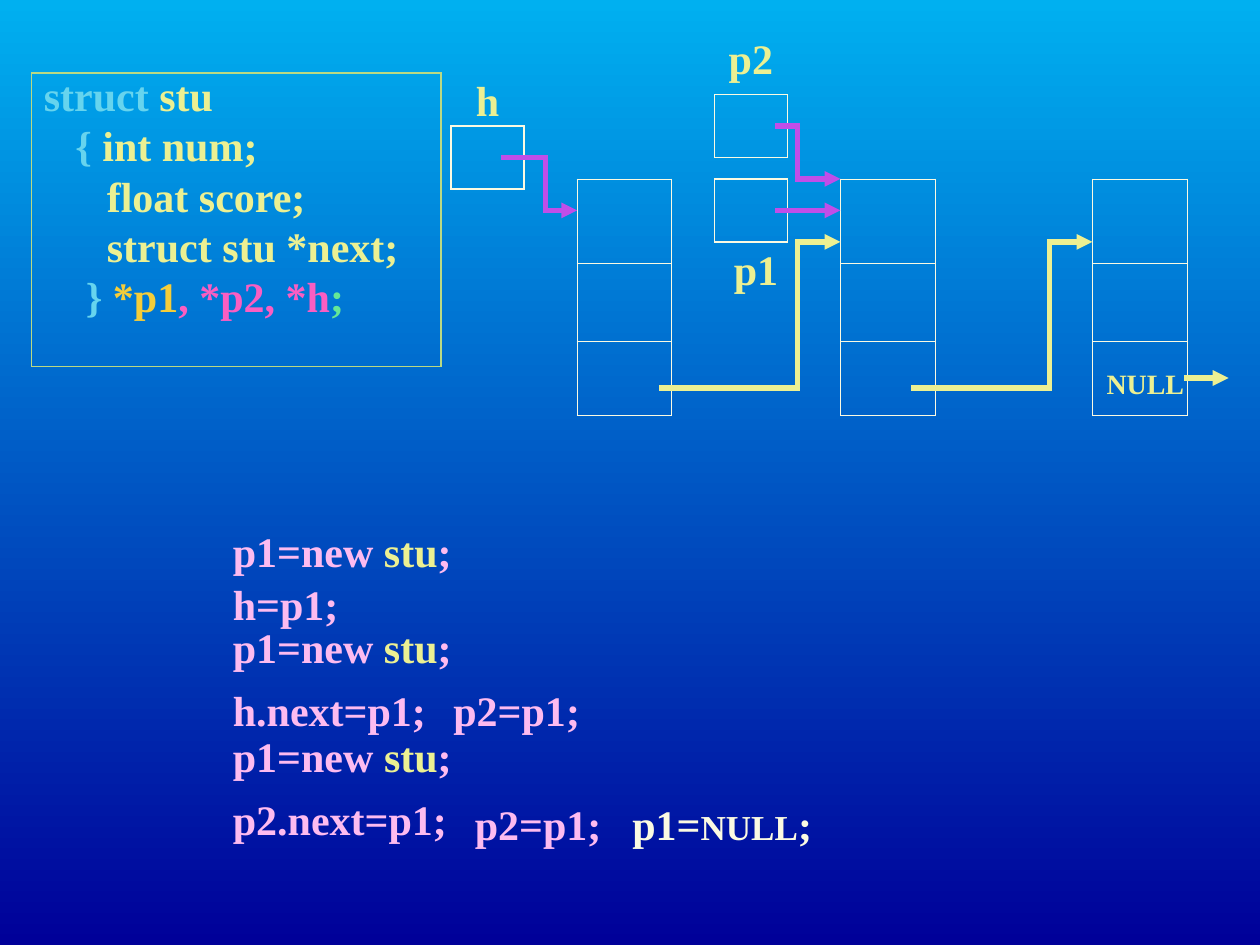
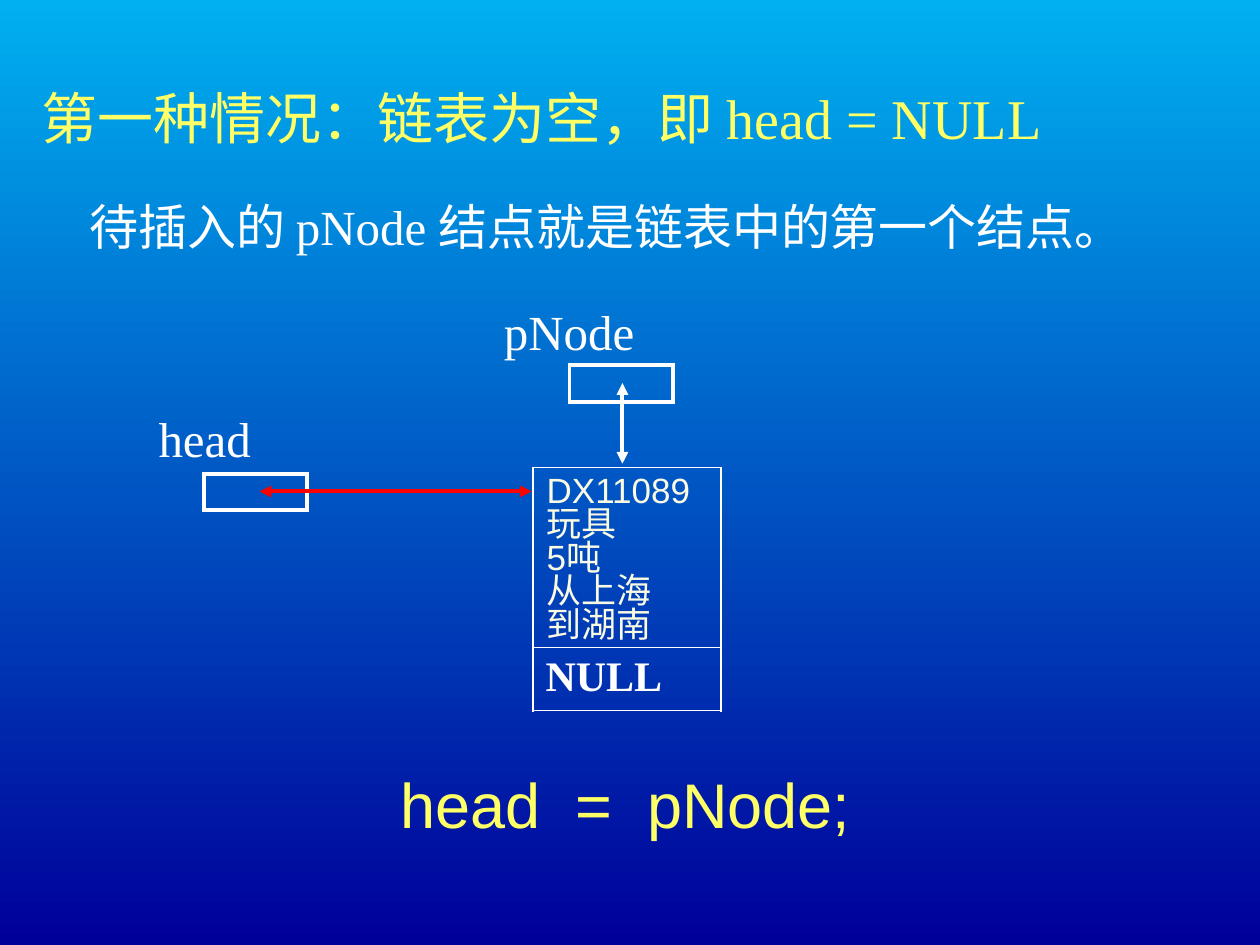
from dataclasses import dataclass

from lxml import etree
from pptx import Presentation
from pptx.dml.color import RGBColor
from pptx.enum.shapes import MSO_CONNECTOR, MSO_SHAPE
from pptx.enum.text import MSO_ANCHOR, PP_ALIGN
from pptx.oxml.ns import qn
from pptx.util import Inches, Pt

RECTANGLE = MSO_SHAPE.RECTANGLE
STRAIGHT = MSO_CONNECTOR.STRAIGHT
TOP, MIDDLE = MSO_ANCHOR.TOP, MSO_ANCHOR.MIDDLE
LEFT, CENTER = PP_ALIGN.LEFT, PP_ALIGN.CENTER

SKY = RGBColor(0x00, 0xB0, 0xF0)
NAVY = RGBColor(0x00, 0x00, 0x99)
PINK = RGBColor(0xFD, 0xBB, 0xF0)
PALE_YELLOW = RGBColor(0xEC, 0xF0, 0x92)
CREAM = RGBColor(0xFB, 0xFA, 0xE2)
CYAN = RGBColor(0x66, 0xD4, 0xEE)
GOLD = RGBColor(0xF5, 0xCD, 0x39)
MAGENTA = RGBColor(0xFA, 0x5E, 0xC2)
MINT = RGBColor(0x64, 0xE8, 0x96)
OLIVE = RGBColor(0xBA, 0xD9, 0x83)
PURPLE = RGBColor(0xC0, 0x4E, 0xE8)
YELLOW = RGBColor(0xFF, 0xFF, 0x66)
WHITE = RGBColor(0xFF, 0xFF, 0xFF)
RED = RGBColor(0xFF, 0x00, 0x00)

SERIF, SANS = "Times New Roman", "Arial"


@dataclass
class Run:
    text: str
    color: RGBColor | None = None
    size: float | None = None


@dataclass
class Style:
    size: float
    color: RGBColor
    name: str = SERIF
    bold: bool = False
    align: PP_ALIGN = LEFT
    spacing: object = None


@dataclass
class Box:
    left: float
    top: float
    width: float
    height: float

    def lengths(self) -> list:
        return [Inches(n) for n in (self.left, self.top, self.width, self.height)]


@dataclass
class Route:
    """A line through corner points; the last segment ends in an arrowhead."""
    points: list[tuple[float, float]]
    color: RGBColor
    width: float = 3
    both_ends: bool = False


CODE = Style(24, PINK, bold=True)
STRUCT = Style(24, PALE_YELLOW, bold=True, spacing=Pt(28.8))
POINTER = Style(24, PALE_YELLOW, bold=True, align=CENTER)
NULL_MARK = Style(16, PALE_YELLOW, bold=True, align=CENTER)
NULL_CELL = Style(24, WHITE, bold=True)
NODE_LABEL = Style(28, WHITE)
CARGO = Style(20, CREAM, SANS, spacing=0.8)
STATEMENT = Style(36, YELLOW, SANS)
HEADING = Style(32, YELLOW, spacing=1.2)
BODY = Style(28, WHITE, spacing=1.2)


def add_slide(presentation):
    slide = presentation.slides.add_slide(presentation.slide_layouts[6])
    fill = slide.background.fill
    fill.gradient()
    fill.gradient_angle = 270
    for stop, color in zip(fill.gradient_stops, (SKY, NAVY)):
        stop.color.rgb = color
    return slide


def write_paragraph(paragraph, runs: list[Run], style: Style) -> None:
    paragraph.alignment = style.align
    if style.spacing is not None:
        paragraph.line_spacing = style.spacing
    font = paragraph.font
    font.name, font.size, font.bold = style.name, Pt(style.size), style.bold
    font.color.rgb = style.color
    for item in runs:
        run = paragraph.add_run()
        run.text = item.text
        if item.color is not None:
            run.font.color.rgb = item.color
        if item.size is not None:
            run.font.size = Pt(item.size)


def write_lines(frame, lines: list[list[Run]], style: Style) -> None:
    for index, runs in enumerate(lines):
        paragraph = frame.add_paragraph() if index else frame.paragraphs[0]
        write_paragraph(paragraph, runs, style)


def add_text(slide, box: Box, lines: list[list[Run]], style: Style,
             anchor: MSO_ANCHOR = TOP):
    frame = slide.shapes.add_textbox(*box.lengths()).text_frame
    frame.word_wrap = True
    frame.vertical_anchor = anchor
    write_lines(frame, lines, style)
    return frame


def add_frame(slide, box: Box, color: RGBColor, width: float):
    shape = slide.shapes.add_shape(RECTANGLE, *box.lengths())
    shape.shadow.inherit = False
    shape.fill.background()
    shape.line.color.rgb = color
    shape.line.width = Pt(width)
    line = shape._element.spPr.find(qn("a:ln"))
    etree.SubElement(line, qn("a:miter"), lim="800000")
    return shape


def add_route(slide, route: Route) -> None:
    segments = list(zip(route.points, route.points[1:]))
    for index, (start, end) in enumerate(segments):
        connector = slide.shapes.add_connector(
            STRAIGHT, *(Inches(n) for n in (*start, *end)))
        connector.line.color.rgb = route.color
        connector.line.width = Pt(route.width)
        properties = connector._element.spPr
        etree.SubElement(properties, qn("a:effectLst"))
        line = properties.find(qn("a:ln"))
        line.set("cap", "sq")  # closes the corners between segments
        if route.both_ends:
            etree.SubElement(line, qn("a:headEnd"), type="triangle")
        if index == len(segments) - 1:
            etree.SubElement(line, qn("a:tailEnd"), type="triangle")


def border_cell(cell, color: RGBColor, widths: dict[str, float]) -> None:
    cell.fill.background()
    properties = cell._tc.get_or_add_tcPr()
    for position, (side, width) in enumerate(widths.items()):
        line = etree.Element(qn(f"a:ln{side}"), w=str(int(Pt(width))))
        fill = etree.SubElement(line, qn("a:solidFill"))
        etree.SubElement(fill, qn("a:srgbClr"), val=str(color))
        properties.insert(position, line)


def add_node(slide, box: Box, rows: list[float], color: RGBColor,
             outer: float, inner: float):
    """One-column table standing for a list node."""
    table = slide.shapes.add_table(len(rows), 1, *box.lengths()).table
    table.first_row = table.horz_banding = False
    table.columns[0].width = Inches(box.width)
    for index, height in enumerate(rows):
        table.rows[index].height = Inches(height)
        border_cell(table.cell(index, 0), color, {
            "L": outer, "R": outer,
            "T": inner if index else outer,
            "B": inner if index < len(rows) - 1 else outer})
    return table


def build_list_slide(presentation) -> None:
    slide = add_slide(presentation)

    # Struct definition
    panel = add_frame(slide, Box(0.25, 0.58, 3.25, 2.33), OLIVE, 0.75)
    frame = panel.text_frame
    frame.word_wrap = True
    frame.vertical_anchor = MIDDLE
    frame.margin_bottom = Inches(0.44)
    write_lines(frame, [
        [Run("struct", CYAN), Run(" stu")],
        [Run("   { ", CYAN), Run("int num;")],
        [Run("      float score;")],
        [Run("      struct stu *next;")],
        [Run("    } ", CYAN), Run("*p1", GOLD), Run(", *p2, *h", MAGENTA),
         Run(";", MINT)],
    ], STRUCT)

    # List nodes
    node_lefts = [4.58, 6.67, 8.67]
    for left in node_lefts:
        add_node(slide, Box(left, 1.42, 0.75, 1.88), [0.67, 0.62, 0.59],
                 CREAM, 0.45, 0.45)

    # Pointer variables and their labels
    for left, top in [(3.58, 1), (5.67, 0.75), (5.67, 1.42)]:
        add_frame(slide, Box(left, top, 0.58, 0.5), CREAM, 1)
    for name, left, top in [("h", 3.47, 0.58), ("p2", 5.56, 0.25), ("p1", 5.6, 1.92)]:
        add_text(slide, Box(left, top, 0.8, 0.42), [[Run(name)]], POINTER, MIDDLE)
    for points in [
        [(4, 1.25), (4.33, 1.25), (4.33, 1.67), (4.58, 1.67)],
        [(6.17, 1), (6.33, 1), (6.33, 1.42), (6.67, 1.42)],
        [(6.17, 1.67), (6.67, 1.67)],
    ]:
        add_route(slide, Route(points, PURPLE))

    # Links from node to node, and the closing NULL
    for start, bend, target in [(5.25, 6.33, 6.67), (7.25, 8.33, 8.67)]:
        add_route(slide, Route([(start, 3.08), (bend, 3.08), (bend, 1.92),
                                (target, 1.92)], PALE_YELLOW))
    add_route(slide, Route([(9.42, 3), (9.75, 3)], PALE_YELLOW))
    add_text(slide, Box(8.59, 2.83, 1, 0.42), [[Run("NULL")]], NULL_MARK, MIDDLE)

    # Statements
    new_node = [Run("p1=new "), Run("stu", PALE_YELLOW), Run(";")]
    null_p1 = [Run("p1=", CREAM), Run("NULL", CREAM, 20), Run(";", CREAM)]
    for box, runs in [
        (Box(1.75, 4.08, 6.5, 0.58), new_node),
        (Box(1.75, 4.58, 1.08, 0.42), [Run("h=p1;")]),
        (Box(1.75, 4.92, 6.5, 0.42), new_node),
        (Box(1.75, 5.42, 1.83, 0.42), [Run("h.next=p1;")]),
        (Box(3.5, 5.42, 1.25, 0.42), [Run("p2=p1;")]),
        (Box(1.75, 5.75, 6.42, 0.5), new_node),
        (Box(1.75, 6.25, 1.95, 0.5), [Run("p2.next=p1;")]),
        (Box(3.67, 6.33, 1.25, 0.42), [Run("p2=p1;")]),
        (Box(4.92, 6.33, 1.83, 0.42), null_p1),
    ]:
        add_text(slide, box, [runs], CODE, MIDDLE)


def build_empty_list_slide(presentation) -> None:
    slide = add_slide(presentation)

    # Heading and explanation
    frame = add_text(slide, Box(0.23, 0.51, 9.61, 1.57),
                     [[Run("第一种情况：链表为空，即 head = NULL")]], HEADING)
    explanation = frame.add_paragraph()
    write_paragraph(explanation, [Run("待插入的 pNode 结点就是链表中的第一个结点。")], BODY)
    explanation.space_before = Pt(19.2)
    explanation._p.get_or_add_pPr().set("marL", str(Inches(0.38)))

    # Cargo node
    table = add_node(slide, Box(4.23, 3.71, 1.49, 1.93), [1.43, 0.5], WHITE, 1.08, 0.45)
    write_lines(table.cell(1, 0).text_frame, [[Run("NULL")]], NULL_CELL)
    cargo = ["DX11089", "玩具", "5吨", "从上海", "到湖南"]
    add_text(slide, Box(4.24, 3.73, 1.46, 1.44), [[Run(line)] for line in cargo], CARGO)

    # Pointers to the node
    for name, label, pointer in [
        ("head", Box(1.16, 3.19, 1.68, 0.57), Box(1.62, 3.76, 0.82, 0.29)),
        ("pNode", Box(3.9, 2.34, 1.98, 0.57), Box(4.52, 2.9, 0.82, 0.29)),
    ]:
        add_text(slide, label, [[Run(name)]], NODE_LABEL)
        add_frame(slide, pointer, WHITE, 2.25)
    add_route(slide, Route([(2.06, 3.9), (4.22, 3.9)], RED, 2.25, True))
    add_route(slide, Route([(4.94, 3.04), (4.94, 3.68)], WHITE, 2.25, True))

    # Resulting statement
    add_text(slide, Box(3.08, 6.03, 3.85, 0.7), [[Run("head  =  pNode;")]], STATEMENT)


def main() -> None:
    presentation = Presentation()
    presentation.slide_width = Inches(10)
    presentation.slide_height = Inches(7.5)
    build_list_slide(presentation)
    build_empty_list_slide(presentation)
    presentation.save("out.pptx")


if __name__ == "__main__":
    main()
